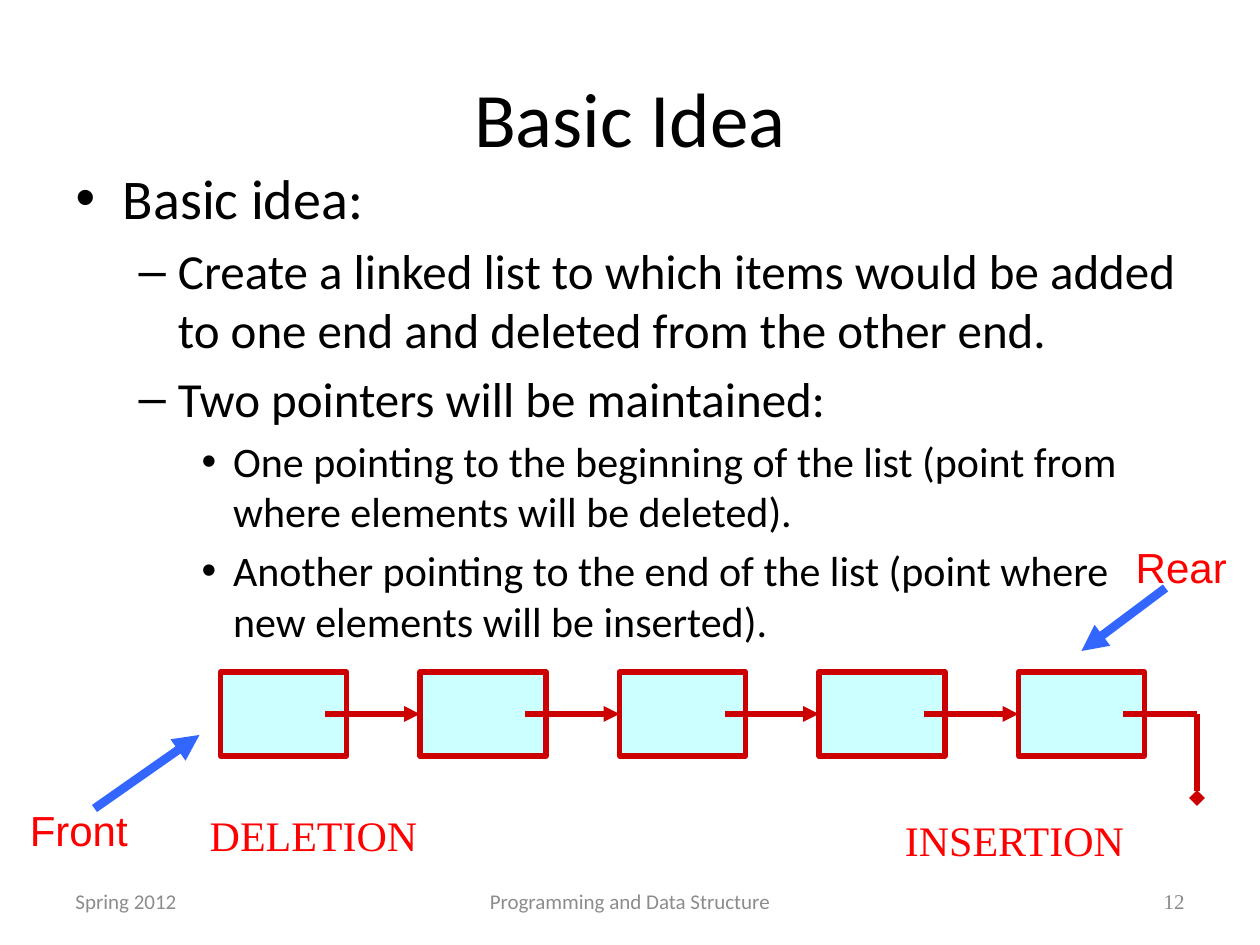
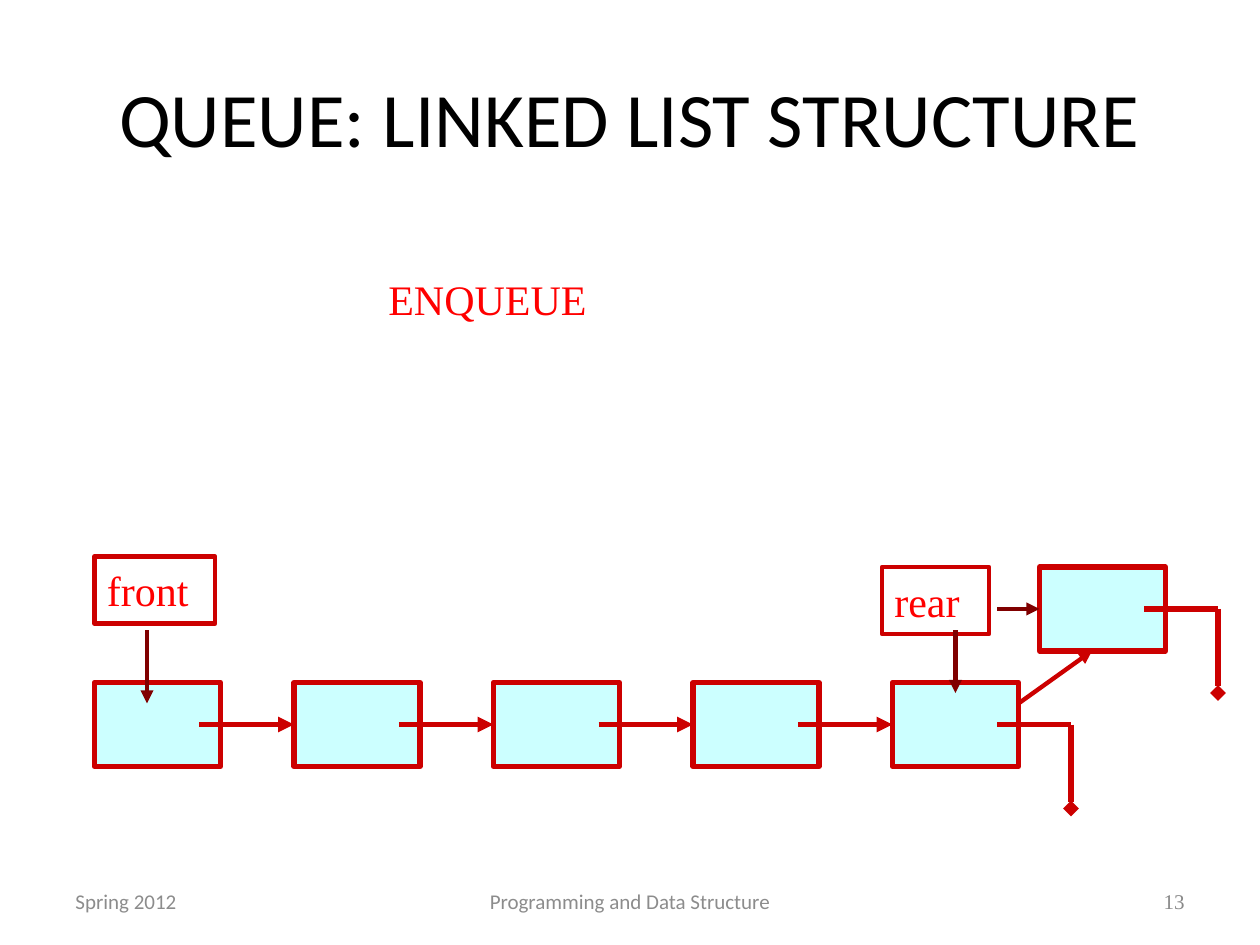
from itertools import pairwise

from lxml.etree import SubElement
from pptx import Presentation
from pptx.dml.color import RGBColor
from pptx.enum.shapes import MSO_CONNECTOR as Link, MSO_SHAPE as Shape
from pptx.enum.text import MSO_ANCHOR as Anchor, PP_ALIGN as Align
from pptx.oxml.ns import qn
from pptx.util import Inches, Pt

COLORS = {
    "title": "000000",
    "footer": "8C8C8C",
    "number": "898989",
    "node": "CCFFFF",
    "link": "CC0000",
    "label": "FF0000",
    "hint": "3366FF",
    "pointer": "800000",
}
SERIF, SANS, BODY = "Times New Roman", "Arial", "Calibri"
COLUMNS, ROWS = 120, 90
WIDTH, HEIGHT = Inches(10), Inches(7.5)
NODE_WIDTH, NODE_HEIGHT, NODE_PITCH = 12, 8, 19
LINK_START, GROUND_END = 10, 17
LEFT_SIDE = 1


def color(name):
    return RGBColor.from_string(COLORS[name])


def col(count):
    return round(WIDTH * count / COLUMNS)


def row(count):
    return round(HEIGHT * count / ROWS)


def place(left, top, width, height):
    return col(left), row(top), col(width), row(height)


def style_font(para, size, face, ink):
    para.font.size = Pt(size)
    para.font.name = face
    para.font.color.rgb = color(ink)


def write(frame, text, size=24, face=SERIF, ink="label", align=Align.LEFT, anchor=Anchor.TOP):
    frame.word_wrap = True
    frame.vertical_anchor = anchor
    para = frame.paragraphs[0]
    para.text = text
    para.alignment = align
    style_font(para, size, face, ink)


def add_label(page, text, box, **style):
    label = page.shapes.add_textbox(*place(*box))
    write(label.text_frame, text, **style)


def add_box(page, box, weight=3, fill=None):
    shape = page.shapes.add_shape(Shape.RECTANGLE, *place(*box))
    shape.shadow.inherit = False
    shape.line.color.rgb = color("link")
    shape.line.width = Pt(weight)
    if fill:
        shape.fill.solid()
        shape.fill.fore_color.rgb = color(fill)
    else:
        shape.fill.background()
    return shape


def add_line(page, start, end, ink="link", weight=3, tip="triangle", target=None):
    line = page.shapes.add_connector(
        Link.STRAIGHT, col(start[0]), row(start[1]), col(end[0]), row(end[1]))
    if target is not None:
        line.end_connect(target, LEFT_SIDE)
    line.line.color.rgb = color(ink)
    line.line.width = Pt(weight)
    properties = line.element.spPr
    if tip:
        SubElement(properties.find(qn("a:ln")), qn("a:tailEnd"), type=tip)
    SubElement(properties, qn("a:effectLst"))


def add_linked_list(page, left, top, count):
    lefts = [left + NODE_PITCH * index for index in range(count)]
    nodes = [add_box(page, (x, top, NODE_WIDTH, NODE_HEIGHT), fill="node") for x in lefts]
    middle = top + NODE_HEIGHT / 2
    for (x, _), (next_x, next_node) in pairwise(zip(lefts, nodes)):
        add_line(page, (x + LINK_START, middle), (next_x, middle), target=next_node)
    corner = (lefts[-1] + GROUND_END, middle)
    add_line(page, (lefts[-1] + LINK_START, middle), corner, tip=None)
    add_line(page, corner, (corner[0], middle + NODE_HEIGHT), tip="diamond")
    return nodes


def add_pointer_box(page, text, box):
    pointer = add_box(page, box, weight=2.5)
    write(pointer.text_frame, text, anchor=Anchor.MIDDLE)


def add_footer(page, number):
    entries = [
        ("Spring 2012", 6, 28, Align.LEFT, BODY, "footer"),
        ("Programming and Data Structure", 41, 38, Align.CENTER, BODY, "footer"),
        (str(number), 86, 28, Align.RIGHT, SERIF, "number"),
    ]
    for text, left, width, align, face, ink in entries:
        add_label(page, text, (left, 83.4, width, 4.8), size=12, face=face,
                  ink=ink, align=align, anchor=Anchor.MIDDLE)


def set_box(shape, box):
    shape.left, shape.top, shape.width, shape.height = place(*box)


def add_page(deck, layout, title, number):
    page = deck.slides.add_slide(deck.slide_layouts.get_by_name(layout))
    set_box(page.shapes.title, (6, 3.6, 108, 15))
    write(page.shapes.title.text_frame, title, size=44, face=BODY, ink="title",
          align=Align.CENTER, anchor=Anchor.MIDDLE)
    add_footer(page, number)
    return page


def fill_body(body, items):
    set_box(body, (6, 15, 108, 59.4))
    frame = body.text_frame
    for index, (level, text) in enumerate(items):
        para = frame.add_paragraph() if index else frame.paragraphs[0]
        para.text = text
        para.level = level
        style_font(para, 32 - 4 * level, BODY, "title")
    frame.paragraphs[0].space_before = Pt(0)


def build_basic_idea(deck):
    page = add_page(deck, "Title and Content", "Basic Idea", 12)
    fill_body(page.placeholders[1], [
        (0, "Basic idea:"),
        (1, "Create a linked list to which items would be added to one end "
            "and deleted from the other end."),
        (1, "Two pointers will be maintained:"),
        (2, "One pointing to the beginning of the list "
            "(point from where elements will be deleted)."),
        (2, "Another pointing to the end of the list "
            "(point where new elements will be inserted)."),
    ])
    add_linked_list(page, 21, 64, 5)
    add_label(page, "Front", (0, 76, 15, 6), face=SANS, align=Align.CENTER)
    add_line(page, (9, 77), (19, 70), ink="hint", weight=5)
    add_label(page, "Rear", (105, 51, 15, 6), face=SANS, align=Align.CENTER)
    add_line(page, (111, 56), (103, 62), ink="hint", weight=5)
    add_label(page, "DELETION", (18.8, 76.5, 23.5, 6))
    add_label(page, "INSERTION", (85, 77, 24.8, 6))


def build_enqueue(deck):
    page = add_page(deck, "Title Only", "QUEUE: LINKED LIST STRUCTURE", 13)
    add_linked_list(page, 9, 65, 5)
    add_pointer_box(page, "front", (9, 53, 11.5, 6.4))
    add_pointer_box(page, "rear", (84, 54, 10.2, 6.4))
    new_node, = add_linked_list(page, 99, 54, 1)
    pointer = {"ink": "pointer", "weight": 2.5}
    add_line(page, (14, 60), (14, 67), **pointer)
    add_line(page, (91, 60), (91, 66), **pointer)
    add_line(page, (95, 58), (99, 58), target=new_node, **pointer)
    add_line(page, (97, 67), (104, 62), weight=2.5)
    add_label(page, "ENQUEUE", (35.8, 25.5, 22.2, 6))


def main():
    deck = Presentation()
    deck.slide_width, deck.slide_height = WIDTH, HEIGHT
    build_basic_idea(deck)
    build_enqueue(deck)
    deck.save("out.pptx")


if __name__ == "__main__":
    main()
